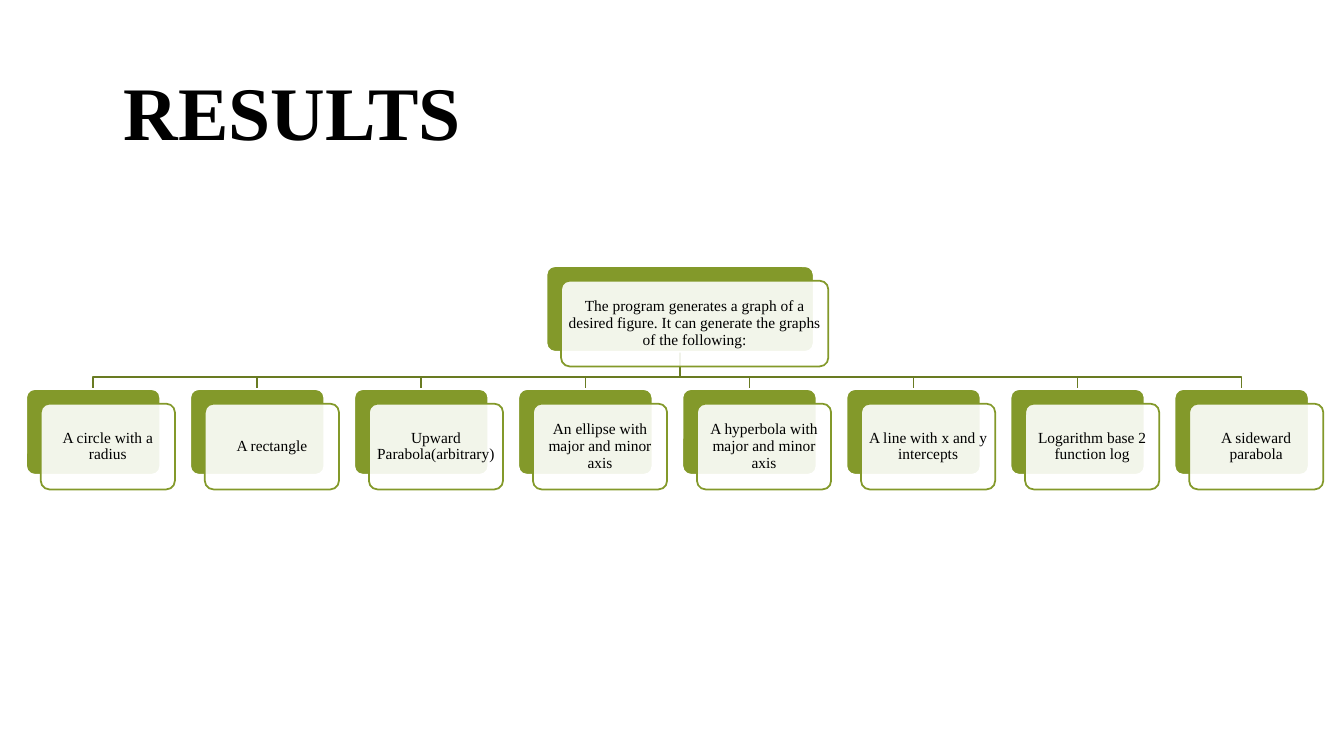
"""Build a results slide: a title above a tree of the graphs a program can draw."""
from lxml.etree import SubElement
from pptx import Presentation
from pptx.dml.color import RGBColor
from pptx.enum.shapes import MSO_SHAPE
from pptx.enum.text import MSO_ANCHOR, MSO_AUTO_SIZE, PP_ALIGN
from pptx.oxml import parse_xml
from pptx.oxml.ns import nsdecls, qn
from pptx.util import Inches, Pt

GREEN = RGBColor(0x83, 0x99, 0x2A)
DARK_GREEN = RGBColor(0x69, 0x7B, 0x22)
WHITE = RGBColor(0xFF, 0xFF, 0xFF)
BLACK = RGBColor(0x00, 0x00, 0x00)
FONT = "Times New Roman"

ROOT_TEXT = (
    "The program generates a graph of a desired figure. "
    "It can generate the graphs of the following:"
)
FIGURES = [
    "A circle with a radius",
    "A rectangle",
    "Upward Parabola(arbitrary)",
    "An ellipse with major and minor axis",
    "A hyperbola with major and minor axis",
    "A line with x and y intercepts",
    "Logarithm base 2 function log",
    "A sideward parabola",
]
ROOT_LEFT, ROOT_TOP, ROOT_WIDTH = 5.42, 2.64, 2.65
FIGURE_LEFT, FIGURE_TOP, FIGURE_WIDTH = 0.26, 3.86, 1.33
FIGURE_PITCH = (11.65 - FIGURE_LEFT) / (len(FIGURES) - 1)
CARD_HEIGHT = 0.85
CARD_OFFSET = 0.145
BRANCH_TOP = ROOT_TOP + CARD_HEIGHT
BRANCH_BEND = 3.74


def add_panel(left, top, width, fill_color, line_color):
    panel = slide.shapes.add_shape(
        MSO_SHAPE.ROUNDED_RECTANGLE,
        Inches(left), Inches(top), Inches(width), Inches(CARD_HEIGHT),
    )
    panel.adjustments[0] = 0.1
    panel.shadow.inherit = False
    panel.fill.solid()
    panel.fill.fore_color.rgb = fill_color
    panel.line.color.rgb = line_color
    panel.line.width = Pt(1.25)
    return panel


def add_card(left, top, width, text):
    add_panel(left, top, width, GREEN, WHITE)
    front = add_panel(left + CARD_OFFSET, top + CARD_OFFSET, width, WHITE, GREEN)
    color = front.fill._xPr.find(qn("a:solidFill"))[0]
    SubElement(color, qn("a:alpha"), val="90000")
    frame = front.text_frame
    frame.word_wrap = True
    frame.vertical_anchor = MSO_ANCHOR.MIDDLE
    frame.margin_left = frame.margin_right = Inches(0.05)
    frame.margin_top = frame.margin_bottom = Inches(0.05)
    paragraph = frame.paragraphs[0]
    paragraph.text = text
    paragraph.alignment = PP_ALIGN.CENTER
    paragraph.line_spacing = 0.9
    paragraph.font.name = FONT
    paragraph.font.size = Pt(11)
    paragraph.font.color.rgb = BLACK


presentation = Presentation()
presentation.slide_width = Inches(13.33)
presentation.slide_height = Inches(7.5)
slide = presentation.slides.add_slide(presentation.slide_layouts[6])

figure_lefts = [FIGURE_LEFT + index * FIGURE_PITCH for index in range(len(FIGURES))]
root_center = ROOT_LEFT + ROOT_WIDTH / 2

for left in reversed(figure_lefts):
    center = left + FIGURE_WIDTH / 2
    builder = slide.shapes.build_freeform(Inches(root_center), Inches(BRANCH_TOP))
    builder.add_line_segments(
        [
            (Inches(root_center), Inches(BRANCH_BEND)),
            (Inches(center), Inches(BRANCH_BEND)),
            (Inches(center), Inches(FIGURE_TOP)),
        ],
        close=False,
    )
    branch = builder.convert_to_shape()
    branch.shadow.inherit = False
    branch.fill.background()
    branch.line.color.rgb = DARK_GREEN
    branch.line.width = Pt(1.25)

add_card(ROOT_LEFT, ROOT_TOP, ROOT_WIDTH, ROOT_TEXT)
for left, figure in zip(figure_lefts, FIGURES):
    add_card(left, FIGURE_TOP, FIGURE_WIDTH, figure)

title = slide.shapes.add_textbox(Inches(1.1), Inches(0.59), Inches(3.6), Inches(1.01))
title.text_frame.word_wrap = False
title.text_frame.auto_size = MSO_AUTO_SIZE.SHAPE_TO_FIT_TEXT
paragraph = title.text_frame.paragraphs[0]
paragraph.alignment = PP_ALIGN.CENTER
paragraph.space_after = Pt(6)
paragraph.font.name = FONT
paragraph.font.size = Pt(54)
paragraph.font.bold = True
paragraph.font.color.rgb = BLACK
run = paragraph.add_run()
run.text = "RESULTS"
outline = parse_xml(
    f'<a:ln {nsdecls("a")} w="{Pt(0.75)}"><a:solidFill>'
    f'<a:srgbClr val="{WHITE}"/></a:solidFill></a:ln>'
)
run._r.get_or_add_rPr().insert(0, outline)

presentation.save("out.pptx")
